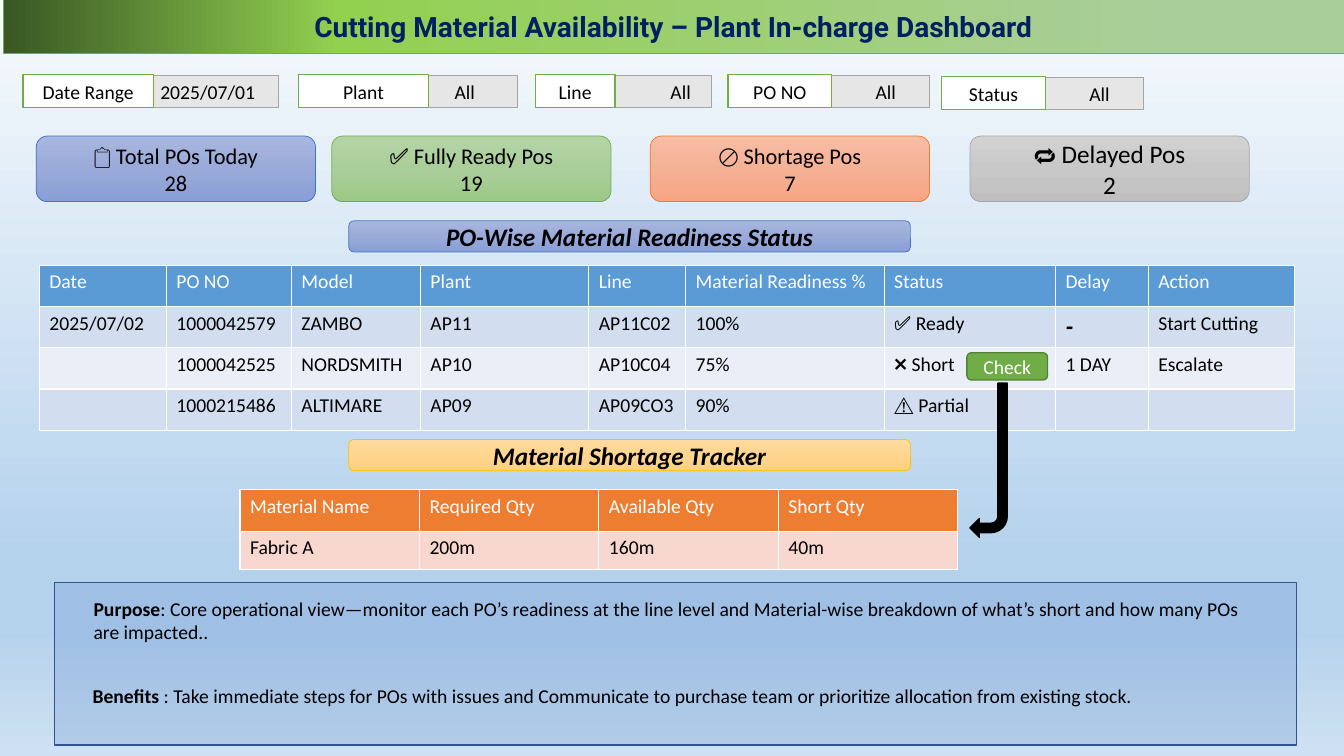
from copy import deepcopy

from lxml.etree import SubElement
from pptx import Presentation
from pptx.dml.color import RGBColor
from pptx.enum.shapes import MSO_SHAPE as Shape
from pptx.enum.text import MSO_ANCHOR as Anchor, PP_ALIGN as Align
from pptx.oxml.ns import qn
from pptx.util import Inches, Pt

BLACK = RGBColor(0x00, 0x00, 0x00)
WHITE = RGBColor(0xFF, 0xFF, 0xFF)
NAVY = RGBColor(0x00, 0x20, 0x60)
BLUE = RGBColor(0x44, 0x72, 0xC4)
DARK_BLUE = RGBColor(0x32, 0x54, 0x91)
GREEN = RGBColor(0x70, 0xAD, 0x47)
DARK_GREEN = RGBColor(0x53, 0x80, 0x35)
ORANGE = RGBColor(0xED, 0x7D, 0x31)
GRAY = RGBColor(0xA5, 0xA5, 0xA5)
PALE_GRAY = RGBColor(0xE7, 0xE6, 0xE6)
GOLD = RGBColor(0xFF, 0xC0, 0x00)
SKY = RGBColor(0x5B, 0x9B, 0xD5)
SKY_BANDS = (RGBColor(0xD2, 0xDE, 0xEF), RGBColor(0xEA, 0xEF, 0xF7))
PEACH = RGBColor(0xF8, 0xD7, 0xCE)


def shades(*stops):
    return [(position, RGBColor.from_string(color)) for position, color in stops]


BACKDROP = shades((0, "F7FAFD"), (74, "B5D2EC"), (83, "B5D2EC"), (100, "CEE1F2"))
BANNER = shades((13, "AACE9A"), (75, "92D050"), (100, "385723"))
BLUE_SHADES = shades((0, "A8B7DF"), (50, "9AABD9"), (100, "889ED7"))
GREEN_SHADES = shades((0, "B5D5A7"), (50, "AACE9A"), (100, "9CC987"))
ORANGE_SHADES = shades((0, "F7BDA5"), (50, "F5B196"), (100, "F8A582"))
GRAY_SHADES = shades((0, "D2D2D2"), (50, "C8C8C8"), (100, "C0C0C0"))
GOLD_SHADES = shades((0, "FFDB9E"), (50, "FFD590"), (100, "FFD07C"))

FILTERS = [
    # label, value, left, top, width, label width
    ("Date Range", "2025/07/01", 0.23, 0.74, 2.53, 1.29),
    ("Plant", "All", 2.96, 0.74, 2.17, 1.29),
    ("Line", "All", 5.31, 0.74, 1.75, 0.79),
    ("PO NO", "All", 7.22, 0.74, 2, 1.03),
    ("Status", "All", 9.34, 0.76, 2, 1.03),
]
KPIS = [
    ("📋 Total POs Today\n28", 0.36, BLUE_SHADES, BLUE, 16),
    ("✅ Fully Ready Pos\n19", 3.29, GREEN_SHADES, GREEN, 16),
    ("🚫 Shortage Pos\n7", 6.45, ORANGE_SHADES, ORANGE, 16),
    ("🔁 Delayed Pos\n2", 9.62, GRAY_SHADES, GRAY, 18),
]
READINESS = [
    ["Date", "PO NO", "Model", "Plant", "Line", "Material Readiness %", "Status", "Delay", "Action"],
    ["2025/07/02", "1000042579", "ZAMBO", "AP11", "AP11C02", "100%", "✅ Ready", "-", "Start Cutting"],
    ["", "1000042525", "NORDSMITH", "AP10", "AP10C04", "75%", "❌ Short", "1 DAY", "Escalate"],
    ["", "1000215486", "ALTIMARE", "AP09", "AP09CO3", "90%", "⚠ Partial", "", ""],
]
SHORTAGES = [
    ["Material Name", "Required Qty", "Available Qty", "Short Qty"],
    ["Fabric A", "200m", "160m", "40m"],
]


class Dashboard:
    base_font = {"name": "Calibri", "size": Pt(14), "bold": False, "italic": False}

    def __init__(self, slide):
        self.slide = slide
        self.shade(slide.background.fill, slide.element, BACKDROP, 270)

    def shade(self, fill, element, stops, angle):
        """Spread the colour stops over a gradient fill; angle runs counter-clockwise."""
        fill.gradient()
        fill.gradient_angle = angle
        stop_list = element.find(".//" + qn("a:gsLst"))
        pattern = stop_list[0]
        for extra in list(stop_list):
            stop_list.remove(extra)
        for _ in stops:
            stop_list.append(deepcopy(pattern))
        for stop, (position, color) in zip(fill.gradient_stops, stops):
            stop.position = position / 100
            stop.color.rgb = color

    def format_run(self, run, color=BLACK, **font):
        for attribute, value in {**self.base_font, **font}.items():
            setattr(run.font, attribute, value)
        run.font.color.rgb = color

    def set_text(self, frame, text, align=Align.CENTER, color=BLACK, **font):
        frame.text = text
        for paragraph in frame.paragraphs:
            paragraph.alignment = align
            for run in paragraph.runs:
                self.format_run(run, color, **font)

    def paint(self, shape, fill, line, weight, angle=270):
        if isinstance(fill, list):
            self.shade(shape.fill, shape.element, fill, angle)
        else:
            shape.fill.solid()
            shape.fill.fore_color.rgb = fill
        shape.line.color.rgb = line
        shape.line.width = Pt(weight)

    def title(self, text, box):
        banner = self.slide.shapes.title
        banner.left, banner.top, banner.width, banner.height = map(Inches, box)
        self.paint(banner, BANNER, GREEN, 0.5, angle=180)
        banner.text_frame.vertical_anchor = Anchor.MIDDLE
        self.set_text(banner.text_frame, text, color=NAVY, name="Roboto", size=Pt(20), bold=True)

    def block(self, kind, box, fill, line, weight=0.5, text="", **font):
        shape = self.slide.shapes.add_shape(kind, *map(Inches, box))
        shape.shadow.inherit = False
        self.paint(shape, fill, line, weight)
        shape.text_frame.vertical_anchor = Anchor.MIDDLE
        if text:
            self.set_text(shape.text_frame, text, **font)
        return shape

    def heading(self, text, top, fill, line):
        self.block(Shape.ROUNDED_RECTANGLE, (3.46, top, 5.57, 0.31), fill, line,
                   text=text, size=Pt(18), bold=True, italic=True)

    def filter(self, label, value, left, top, width, label_width):
        field = self.block(Shape.RECTANGLE, (left, top + 0.01, width, 0.32), PALE_GRAY, GRAY, text=value)
        field.text_frame.margin_left = Inches(1.23)
        self.block(Shape.RECTANGLE, (left, top, label_width, 0.33), WHITE, GREEN, 1, label)

    def table(self, rows, left, top, widths, heights, header_fill, bands):
        frame = self.slide.shapes.add_table(
            len(rows), len(widths), *map(Inches, (left, top, sum(widths), sum(heights))))
        grid = frame.table
        for column, width in zip(grid.columns, widths):
            column.width = Inches(width)
        for r, (texts, height) in enumerate(zip(rows, heights)):
            grid.rows[r].height = Inches(height)
            for c, text in enumerate(texts):
                cell = grid.cell(r, c)
                cell.fill.solid()
                cell.fill.fore_color.rgb = bands[(r - 1) % len(bands)] if r else header_fill
                dash = {"size": Pt(18), "bold": True, "italic": True} if text == "-" else {}
                self.set_text(cell.text_frame, text, Align.LEFT, BLACK if r else WHITE, **dash)

    def note(self, lead, text, box):
        frame = self.slide.shapes.add_textbox(*map(Inches, box)).text_frame
        frame.word_wrap = True
        for part, bold in ((lead, True), (text, False)):
            run = frame.paragraphs[0].add_run()
            run.text = part
            self.format_run(run, bold=bold)


def main():
    deck = Presentation()
    deck.slide_width, deck.slide_height = Inches(13.33), Inches(7.5)
    board = Dashboard(deck.slides.add_slide(deck.slide_layouts[5]))

    board.title("Cutting Material Availability – Plant In-charge Dashboard", (0.03, -0.01, 13.3, 0.54))
    for entry in FILTERS:
        board.filter(*entry)
    for text, left, fill, line, size in KPIS:
        board.block(Shape.ROUNDED_RECTANGLE, (left, 1.35, 2.77, 0.65), fill, line, text=text, size=Pt(size))

    board.heading("PO-Wise Material Readiness Status", 2.19, BLUE_SHADES, BLUE)
    board.table(READINESS, 0.39, 2.63, [1.26, 1.24, 1.28, 1.67, 0.96, 1.97, 1.7, 0.92, 1.45],
                [0.41] * 4, SKY, SKY_BANDS)
    board.heading("Material Shortage Tracker", 4.36, GOLD_SHADES, GOLD)
    board.table(SHORTAGES, 2.38, 4.86, [1.78] * 4, [0.41, 0.38], ORANGE, [PEACH])

    board.block(Shape.ROUNDED_RECTANGLE, (9.59, 3.5, 0.8, 0.27), GREEN, DARK_GREEN, 1, "Check", color=WHITE)
    shortage_arrow = board.block(Shape.BENT_ARROW, (9.62, 3.8, 0.37, 1.53), BLACK, BLACK, 1)
    shortage_arrow.rotation = 180

    summary = board.block(Shape.RECTANGLE, (0.54, 5.78, 12.32, 1.61), BLUE, DARK_BLUE, 1)
    SubElement(summary.element.spPr.find(qn("a:solidFill"))[0], qn("a:alpha"), val="19000")
    board.note("Purpose", ": Core operational view—monitor each PO’s readiness at the line level and "
               "Material-wise breakdown of what’s short and how many POs are impacted..",
               (0.83, 5.87, 11.77, 0.57))
    board.note("Benefits", " : Take immediate steps for POs with issues and Communicate to purchase team "
               "or prioritize allocation from existing stock.", (0.82, 6.74, 11.77, 0.34))

    deck.save("out.pptx")


if __name__ == "__main__":
    main()
